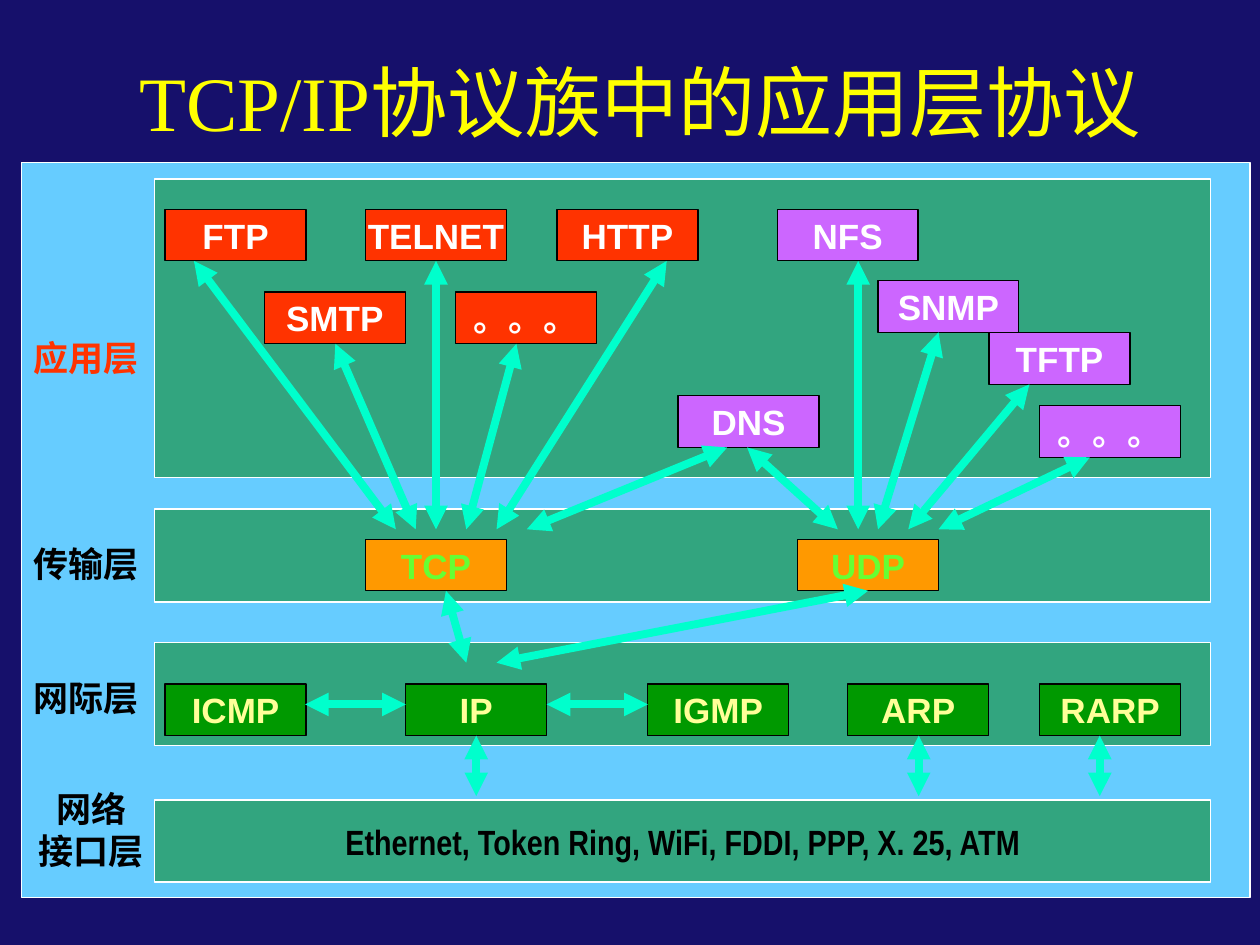
from dataclasses import dataclass

from lxml import etree
from pptx import Presentation
from pptx import util as u
from pptx.dml.color import RGBColor
from pptx.enum import shapes, text
from pptx.oxml import ns

BOX_W, BOX_H = 2.84, 1.04
BAND_X, BAND_W = 3.12, 21.29
BLACK, WHITE, TEAL = "000000", "FFFFFF", "00FFCC"


@dataclass(frozen=True)
class Style:
    fill: str
    color: str


RED = Style("FF3300", WHITE)
PURPLE = Style("CC66FF", WHITE)
ORANGE = Style("FF9900", "66FF33")
GREEN = Style("009900", "FFFF99")


@dataclass(frozen=True)
class Protocol:
    name: str
    x: float
    y: float
    style: Style
    links: tuple = ()  # (x at the box bottom, x at the layer below)


@dataclass(frozen=True)
class Layer:
    label: str
    label_y: float
    y: float
    height: float
    protocols: tuple = ()
    link_y: float = 0  # where the arrows to the layer below end
    peers: tuple = ()  # horizontal arrows (from x, to x)
    peer_y: float = 0
    color: str = BLACK
    label_x: float = 0.43
    caption: str = ""


# Layers from the bottom of the stack to the top
LAYERS = (
    Layer("网络\n接口层", 15.75, 16.13, 1.65, label_x=0.53,
          caption="Ethernet, Token Ring, WiFi, FDDI, PPP, X. 25, ATM"),
    Layer("网际层", 13.51, 12.95, 2.08, (
        Protocol("ICMP", 3.33, 13.79, GREEN),
        Protocol("IP", 8.18, 13.79, GREEN, ((9.6, 9.6),)),
        Protocol("IGMP", 13.06, 13.79, GREEN),
        Protocol("ARP", 17.09, 13.79, GREEN, ((18.52, 18.52),)),
        Protocol("RARP", 20.96, 13.79, GREEN, ((22.17, 22.17),)),
    ), link_y=16.05, peers=((8.18, 6.15), (13.06, 11.02)), peer_y=14.2),
    Layer("传输层", 10.82, 10.26, 1.88, (
        Protocol("TCP", 7.37, 10.87, ORANGE, ((8.99, 9.4),)),
        Protocol("UDP", 16.08, 10.87, ORANGE, ((17.5, 10.01),)),
    ), link_y=13.36),
    Layer("应用层", 6.65, 3.61, 6.02, (
        Protocol("FTP", 3.33, 4.22, RED, ((3.91, 7.98),)),
        Protocol("TELNET", 7.37, 4.22, RED, ((8.79, 8.79),)),
        Protocol("HTTP", 11.23, 4.22, RED, ((13.44, 10.01),)),
        Protocol("SMTP", 5.33, 5.89, RED, ((6.76, 8.38),)),
        Protocol("。。。", 9.19, 5.89, RED, ((10.41, 9.4),)),
        Protocol("NFS", 15.67, 4.22, PURPLE, ((17.3, 17.3),)),
        Protocol("SNMP", 17.7, 5.66, PURPLE, ((18.92, 17.7),)),
        Protocol("TFTP", 19.94, 6.71, PURPLE, ((20.75, 18.31),)),
        Protocol("。。。", 20.96, 8.18, PURPLE, ((21.97, 18.92),)),
        Protocol("DNS", 13.67, 7.98, PURPLE, ((14.66, 10.62), (15.06, 16.89))),
    ), link_y=10.67, color="FF3300"),
)


def paint(color_format, color: str) -> None:
    color_format.rgb = RGBColor.from_string(color)


def write(frame, words: str, font: str, color: str, size: int = 20,
          bold: bool = True, wrap: bool = False) -> None:
    frame.text = words
    frame.word_wrap = wrap
    for paragraph in frame.paragraphs:
        paragraph.alignment = text.PP_ALIGN.CENTER
        paragraph.font.name = font
        paragraph.font.size = u.Pt(size)
        paragraph.font.bold = bold
        paint(paragraph.font.color, color)


def add_rect(slide, x: float, y: float, w: float, h: float, fill: str, line: str):
    rect = slide.shapes.add_shape(shapes.MSO_SHAPE.RECTANGLE,
                                  u.Cm(x), u.Cm(y), u.Cm(w), u.Cm(h))
    rect.shadow.inherit = False
    rect.fill.solid()
    paint(rect.fill.fore_color, fill)
    paint(rect.line.color, line)
    rect.line.width = u.Pt(0.75)
    rect.text_frame.vertical_anchor = text.MSO_ANCHOR.MIDDLE
    return rect


def add_arrow(slide, x1: float, y1: float, x2: float, y2: float) -> None:
    arrow = slide.shapes.add_connector(shapes.MSO_CONNECTOR.STRAIGHT,
                                       u.Cm(x1), u.Cm(y1), u.Cm(x2), u.Cm(y2))
    paint(arrow.line.color, TEAL)
    arrow.line.width = u.Pt(4.5)
    for end in ("a:headEnd", "a:tailEnd"):
        etree.SubElement(arrow.line._get_or_add_ln(), ns.qn(end), type="triangle")
    etree.SubElement(arrow._element.spPr, ns.qn("a:effectLst"))


def add_layer(slide, layer: Layer) -> None:
    # Half-transparent band
    band = add_rect(slide, BAND_X, layer.y, BAND_W, layer.height, "008000", WHITE)
    band_color = band._element.spPr.find(
        ns.qn("a:solidFill") + "/" + ns.qn("a:srgbClr"))
    etree.SubElement(band_color, ns.qn("a:alpha"), val="50000")
    if layer.caption:
        write(band.text_frame, layer.caption, "Arial Narrow", BLACK)

    # Layer name
    lines = layer.label.count("\n") + 1
    label = slide.shapes.add_textbox(u.Cm(layer.label_x), u.Cm(layer.label_y),
                                     u.Cm(2.62), u.Cm(0.28 + 0.84 * lines))
    write(label.text_frame, layer.label, "Times New Roman", layer.color)

    # Protocol boxes, then arrows above them
    for protocol in layer.protocols:
        box = add_rect(slide, protocol.x, protocol.y, BOX_W, BOX_H,
                       protocol.style.fill, BLACK)
        write(box.text_frame, protocol.name, "Arial", protocol.style.color)
    for protocol in layer.protocols:
        for top_x, bottom_x in protocol.links:
            add_arrow(slide, top_x, protocol.y + BOX_H, bottom_x, layer.link_y)
    for start_x, end_x in layer.peers:
        add_arrow(slide, start_x, layer.peer_y, end_x, layer.peer_y)


def main() -> None:
    deck = Presentation()
    deck.slide_width, deck.slide_height = u.Cm(25.4), u.Cm(19.05)
    slide = deck.slides.add_slide(deck.slide_layouts[5])
    slide.background.fill.solid()
    paint(slide.background.fill.fore_color, "16106B")

    # Title
    title = slide.shapes.title
    title.left, title.top = u.Cm(2.11), u.Cm(0.43)
    title.width, title.height = u.Cm(21.59), u.Cm(3.18)
    title.text_frame.vertical_anchor = text.MSO_ANCHOR.MIDDLE
    write(title.text_frame, "TCP/IP协议族中的应用层协议", "Times New Roman",
          "FFFF00", size=44, bold=False, wrap=True)
    title.text_frame.auto_size = text.MSO_AUTO_SIZE.NONE

    # Protocol stack
    add_rect(slide, 0.43, 3.28, 24.77, 14.81, "66CCFF", WHITE)
    for layer in LAYERS:
        add_layer(slide, layer)

    deck.save("out.pptx")


if __name__ == "__main__":
    main()
